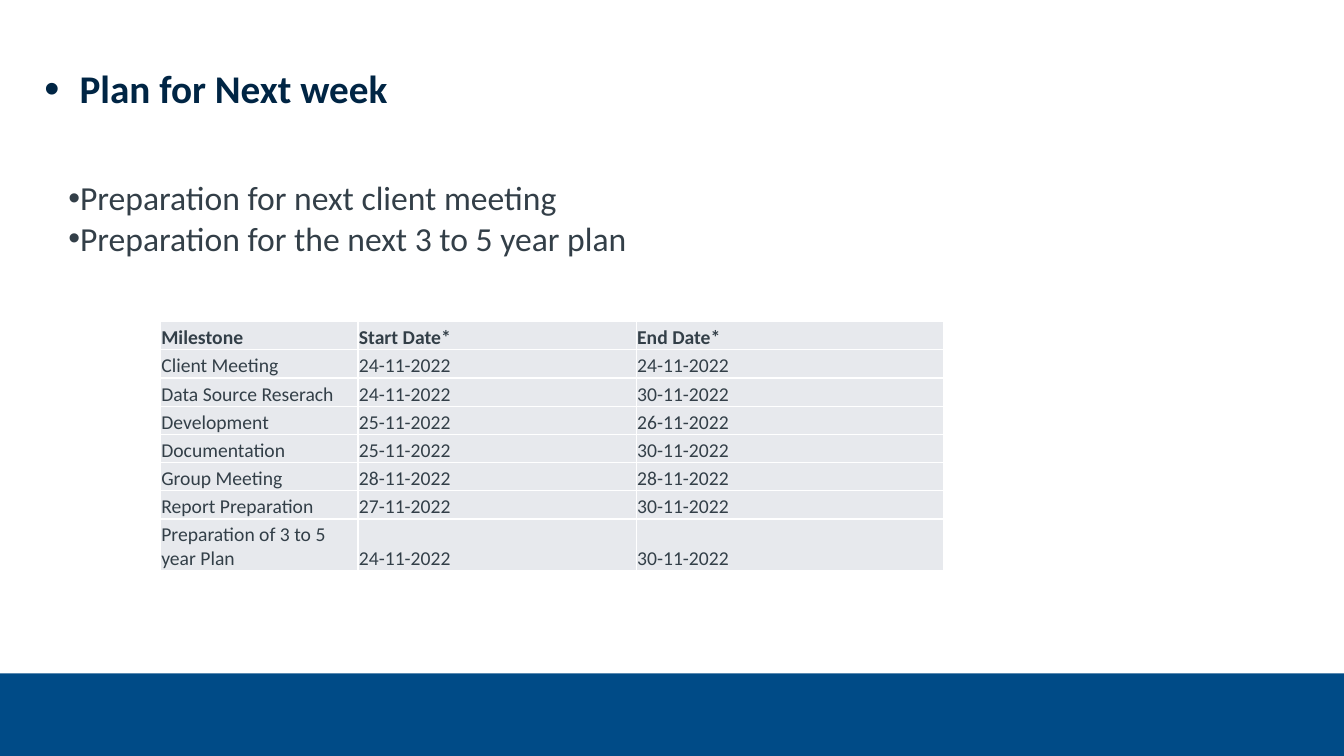
from pptx import Presentation
from pptx.dml.color import RGBColor as RGB
from pptx.enum.shapes import MSO_SHAPE as SHAPE
from pptx.enum.text import MSO_ANCHOR as ANCHOR, PP_ALIGN as ALIGN
from pptx.util import Inches, Pt
from lxml.etree import SubElement
from pptx.oxml.ns import qn

COLORS = {"band": "004B87", "title": "002544", "text": "333F48",
          "cell": "E7E9ED", "rule": "FFFFFF"}


def style(par, size, color, bold=False):
    for run in par.runs:
        font = run.font
        font.name, font.size, font.bold = "Calibri", Pt(size), bold
        font.color.rgb = RGB.from_string(COLORS[color])


def bullet(par, hang=0, scale=100):
    props = par._p.get_or_add_pPr()
    props.set("marL", str(Inches(hang)))
    props.set("indent", str(-Inches(hang)))
    SubElement(props, qn("a:buSzPct")).set("val", str(scale * 1000))
    SubElement(props, qn("a:buFont")).set("typeface", "Arial")
    SubElement(props, qn("a:buChar")).set("char", "•")


prs = Presentation()
prs.slide_width, prs.slide_height = Inches(13.33), Inches(7.5)
slide = prs.slides.add_slide(prs.slide_layouts[5])
shapes = slide.shapes

# Footer band
band = shapes.add_shape(SHAPE.RECTANGLE, 0, Inches(6.68), Inches(13.33), Inches(0.82))
band.shadow.inherit = False
band.fill.solid()
band.fill.fore_color.rgb = RGB.from_string(COLORS["band"])
band.line.fill.background()

# Title
title = shapes.title
title.left, title.top = Inches(0.44), Inches(0.64)
title.width, title.height = Inches(11.99), Inches(0.47)
frame = title.text_frame
frame.margin_left = frame.margin_right = frame.margin_top = frame.margin_bottom = 0
frame.vertical_anchor = ANCHOR.TOP
frame.text = "Plan for Next week"
head = frame.paragraphs[0]
head.alignment = ALIGN.LEFT
bullet(head, 0.35, 110)
style(head, 28, "title", True)

# Tasks
tasks = shapes.add_textbox(Inches(0.58), Inches(1.71), Inches(11.33), Inches(1.31))
frame = tasks.text_frame
frame.word_wrap = True
frame.text = "Preparation for next client meeting\nPreparation for the next 3 to 5 year plan"
for par in frame.paragraphs:
    bullet(par)
    style(par, 24, "text")

# Milestone table
rows = [
    ("Milestone", "Start Date*", "End Date*"),
    ("Client Meeting", "24-11-2022", "24-11-2022"),
    ("Data Source Reserach", "24-11-2022", "30-11-2022"),
    ("Development", "25-11-2022", "26-11-2022"),
    ("Documentation", "25-11-2022", "30-11-2022"),
    ("Group Meeting", "28-11-2022", "28-11-2022"),
    ("Report Preparation", "27-11-2022", "30-11-2022"),
    ("Preparation of 3 to 5 year Plan", "24-11-2022", "30-11-2022"),
]
widths = [1.96, 2.76, 3.05]
table = shapes.add_table(len(rows), len(widths), Inches(1.59), Inches(3.19),
                         Inches(sum(widths)), Inches(2.46)).table
table.horz_banding = False
for col, width in zip(table.columns, widths):
    col.width = Inches(width)
for r, row in enumerate(rows):
    table.rows[r].height = Inches(0.51 if r == len(rows) - 1 else 0.28)
    for c, text in enumerate(row):
        cell = table.cell(r, c)
        cell.text = text
        cell.margin_left = cell.margin_right = cell.margin_top = Inches(0.01)
        cell.margin_bottom = 0
        cell.vertical_anchor = ANCHOR.BOTTOM
        style(cell.text_frame.paragraphs[0], 14, "text", r == 0)
        # Borders come before the fill in the cell's XML
        props = cell._tc.get_or_add_tcPr()
        for side in ("lnL", "lnR", "lnT", "lnB"):
            line = SubElement(props, qn("a:" + side), w=str(Pt(1)))
            fill = SubElement(line, qn("a:solidFill"))
            SubElement(fill, qn("a:srgbClr")).set("val", COLORS["rule"])
        cell.fill.solid()
        cell.fill.fore_color.rgb = RGB.from_string(COLORS["cell"])

prs.save("out.pptx")
